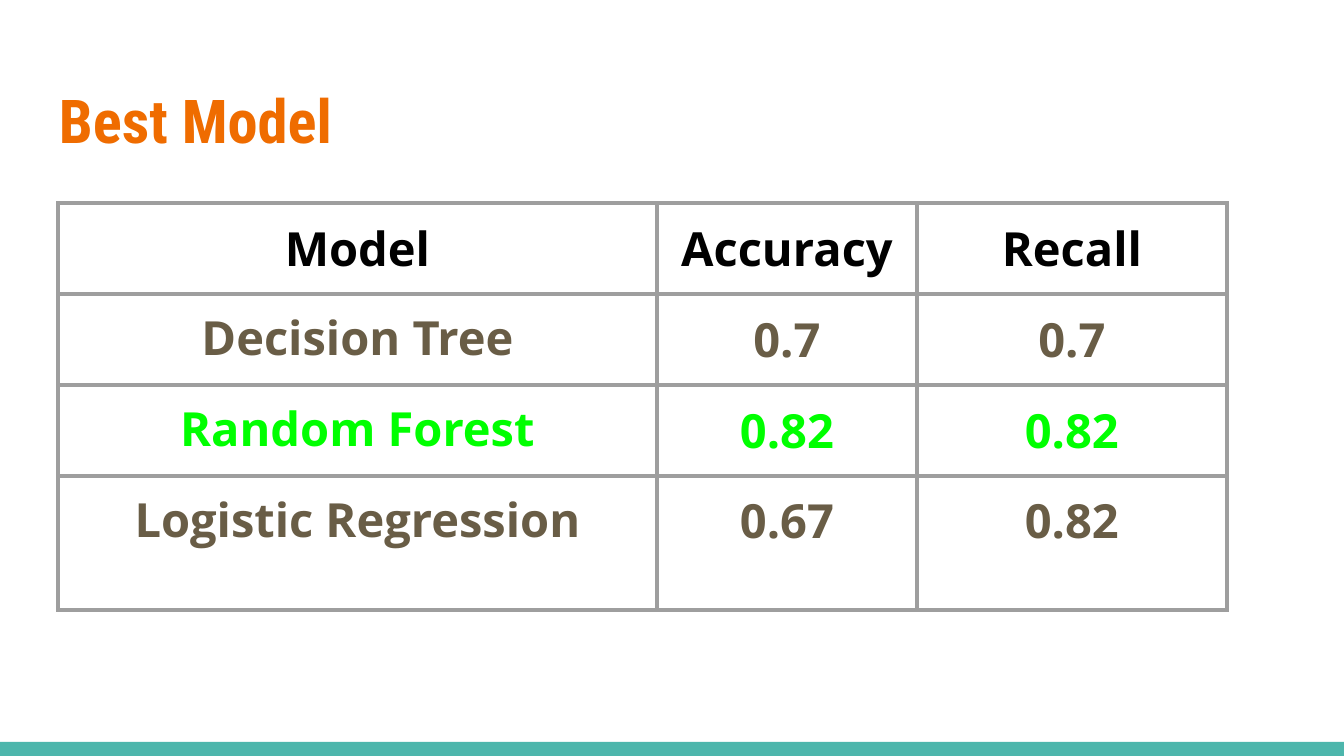
from lxml import etree
from pptx import Presentation
from pptx.dml.color import RGBColor
from pptx.enum.shapes import MSO_SHAPE
from pptx.enum.text import MSO_ANCHOR, PP_ALIGN
from pptx.oxml.ns import qn
from pptx.util import Emu, Pt

RECTANGLE = MSO_SHAPE.RECTANGLE
TOP, BOTTOM = MSO_ANCHOR.TOP, MSO_ANCHOR.BOTTOM
LEFT, CENTER = PP_ALIGN.LEFT, PP_ALIGN.CENTER

ORANGE = RGBColor(0xEF, 0x6C, 0x00)
TEAL = RGBColor(0x4D, 0xB6, 0xAC)
BLACK = RGBColor(0x00, 0x00, 0x00)
BROWN = RGBColor(0x69, 0x5D, 0x46)
GREEN = RGBColor(0x00, 0xFF, 0x00)
GRAY = RGBColor(0x9E, 0x9E, 0x9E)

PX_PER_INCH = 134.4
TITLE_ONLY = 5


def px(length):
    return Emu(round(length * 914400 / PX_PER_INCH))


class SlideBuilder:
    title_font, title_size = "Roboto Condensed", 32.4
    table_font, table_size = "Open Sans", 25.2
    inset = px(13)
    border_width = Pt(2.25)

    def __init__(self, slide):
        self.slide = slide

    def add_run(self, paragraph, text, font, size, color):
        run = paragraph.add_run()
        run.text = text
        run.font.name = font
        run.font.size = Pt(size)
        run.font.bold = True
        run.font.color.rgb = color

    def set_insets(self, target):
        target.margin_left = target.margin_right = self.inset
        target.margin_top = target.margin_bottom = self.inset

    def title(self, text, left, top, width, height):
        shape = self.slide.shapes.title
        shape.left, shape.top = px(left), px(top)
        shape.width, shape.height = px(width), px(height)
        frame = shape.text_frame
        self.set_insets(frame)
        frame.word_wrap = True
        frame.vertical_anchor = BOTTOM
        paragraph = frame.paragraphs[0]
        paragraph.alignment = LEFT
        self.add_run(paragraph, text, self.title_font, self.title_size, ORANGE)

    def bar(self, left, top, width, height, color):
        shape = self.slide.shapes.add_shape(
            RECTANGLE, px(left), px(top), px(width), px(height))
        shape.shadow.inherit = False
        shape.fill.solid()
        shape.fill.fore_color.rgb = color
        shape.line.fill.background()

    def set_borders(self, cell):
        properties = cell._tc.get_or_add_tcPr()
        for position, side in enumerate(("a:lnL", "a:lnR", "a:lnT", "a:lnB")):
            line = etree.Element(qn(side), w=str(self.border_width))
            fill = etree.SubElement(line, qn("a:solidFill"))
            etree.SubElement(fill, qn("a:srgbClr"), val=str(GRAY))
            properties.insert(position, line)

    def table(self, rows, left, top, widths, heights):
        frame = self.slide.shapes.add_table(
            len(heights), len(widths), px(left), px(top),
            px(sum(widths)), px(sum(heights)))
        table = frame.table
        table.first_row = table.horz_banding = False
        for column, width in zip(table.columns, widths):
            column.width = px(width)
        for row, height in zip(table.rows, heights):
            row.height = px(height)
        for row_index, (color, texts) in enumerate(rows):
            for column_index, text in enumerate(texts):
                cell = table.cell(row_index, column_index)
                cell.fill.background()
                self.set_insets(cell)
                cell.vertical_anchor = TOP
                self.set_borders(cell)
                paragraph = cell.text_frame.paragraphs[0]
                paragraph.alignment = CENTER
                # Model names sit slightly tighter than the scores
                if row_index > 0 and column_index == 0:
                    paragraph.line_spacing = 0.95
                    paragraph.space_after = Pt(12)
                self.add_run(paragraph, text, self.table_font, self.table_size, color)


def main():
    presentation = Presentation()
    presentation.slide_width, presentation.slide_height = px(1344), px(756)
    slide = presentation.slides.add_slide(presentation.slide_layouts[TITLE_ONLY])
    builder = SlideBuilder(slide)

    # Footer bar and title
    builder.bar(0, 742, 1344, 14, TEAL)
    builder.title("Best Model", 46, 66, 1252, 103)

    # Model scores, with the best one in green
    scores = [
        (BLACK, ("Model", "Accuracy", "Recall")),
        (BROWN, ("Decision Tree", "0.7", "0.7")),
        (GREEN, ("Random Forest", "0.82", "0.82")),
        (BROWN, ("Logistic Regression", "0.67", "0.82")),
    ]
    builder.table(scores, 58, 203, (599, 260, 310), (91, 91, 91, 134))

    presentation.save("out.pptx")


if __name__ == "__main__":
    main()
